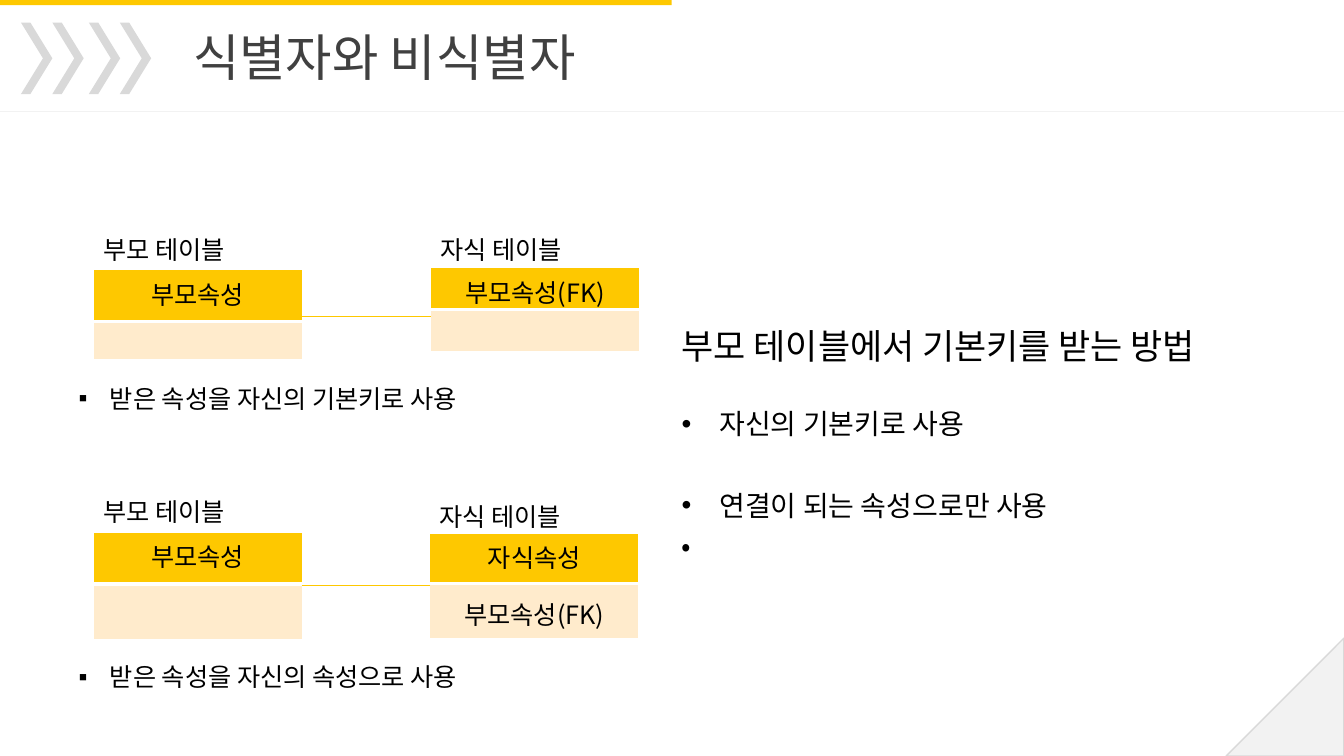
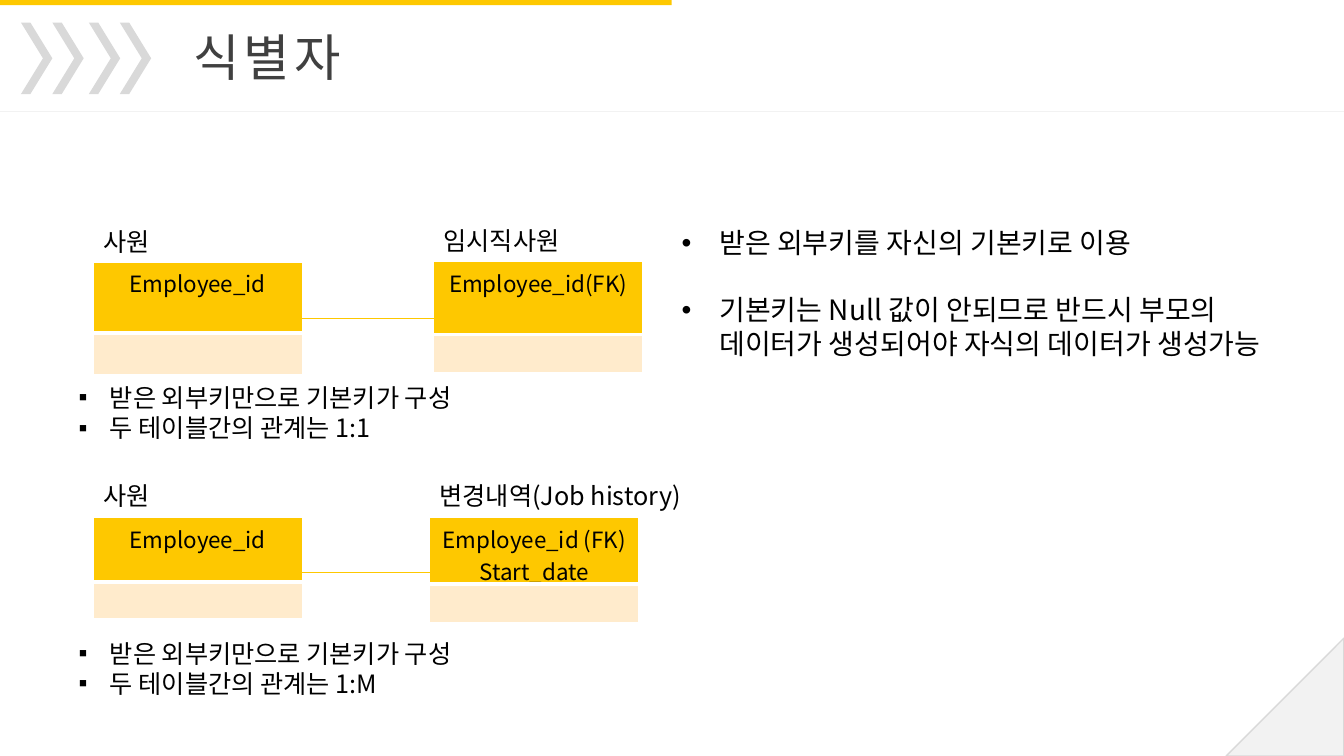
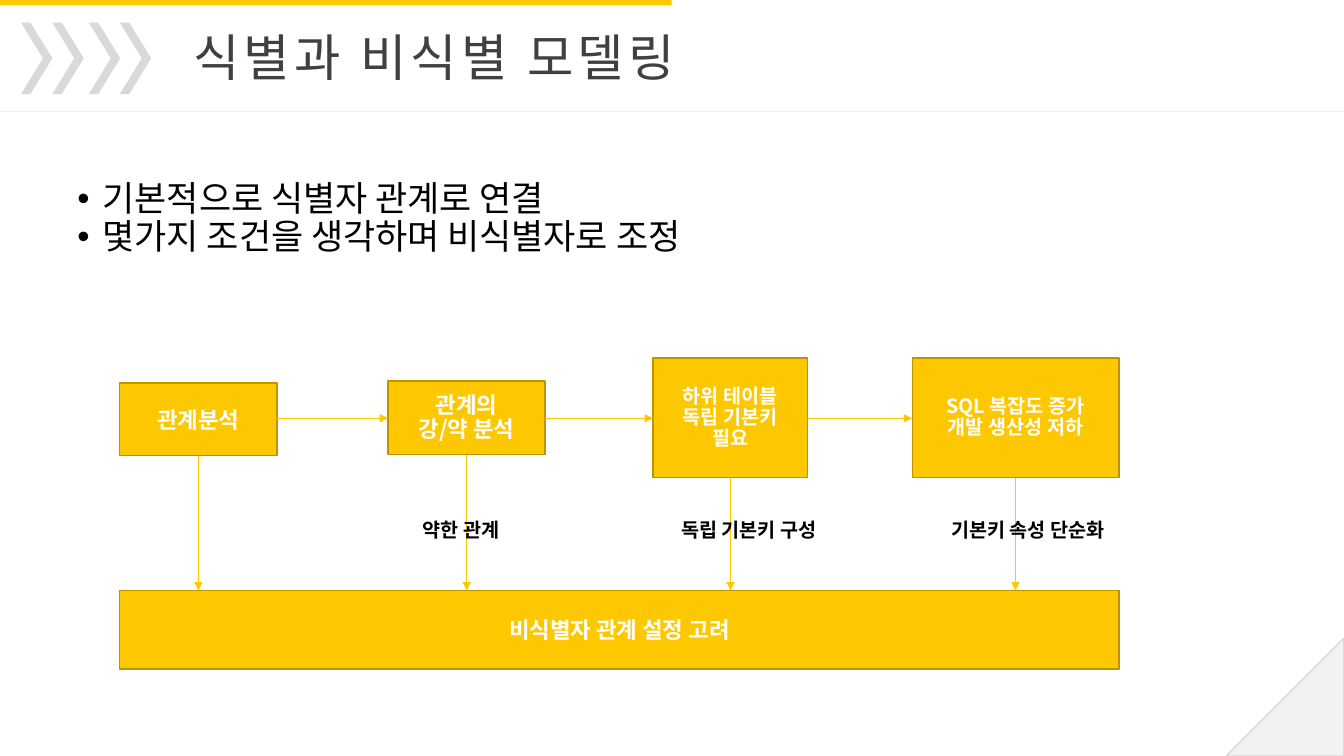
from dataclasses import dataclass

from lxml import etree
from pptx import Presentation
from pptx.dml.color import RGBColor
from pptx.enum import shapes, text
from pptx.oxml import ns
from pptx.util import Cm, Pt


@dataclass(frozen=True)
class Theme:
    font: str = "Noto Sans CJK KR"
    yellow: str = "FEC800"
    cream: str = "FFEBCC"
    edge: str = "BC9400"
    chevron: str = "D9D9D9"
    pale: str = "F2F2F2"
    title: str = "404040"
    black: str = "000000"
    white: str = "FFFFFF"
    title_size: int = 36
    lead_size: int = 25
    point_size: int = 20
    body_size: int = 18
    key_size: int = 16
    small_size: int = 14


T = Theme()
TABLE_W = 5.27
PARENT_X, LINK_X = 2.35, 7.6
NOTE_X, NOTE_W = 1.73, 13.92
POINT_X = 16.93

# Content: lengths in cm; an entity is label, label y, label width, x, y, rows
IDENTIFIER_OR_NOT = dict(
    title="식별자와 비식별자", title_w=18.2, spacing=0, key_size=T.body_size,
    relations=[
        dict(parent=("부모 테이블", 5.77, 4.24, PARENT_X, 6.8, [("부모속성", 1.3), ("", 0.95)]),
             child=("자식 테이블", 5.77, 4.24, 10.85, 6.75, [("부모속성(FK)", 1.05), ("", 1.05)]),
             link_y=7.96, notes_y=9.53, notes=["받은 속성을 자신의 기본키로 사용"]),
        dict(parent=("부모 테이블", 12.37, 4.24, PARENT_X, 13.41, [("부모속성", 1.3), ("", 1.4)]),
             child=("자식 테이블", 12.5, 4.24, 10.83, 13.44, [("자식속성", 1.26), ("부모속성(FK)", 1.4)]),
             link_y=14.76, notes_y=16.54, notes=["받은 속성을 자신의 속성으로 사용"]),
    ],
    points_at=(POINT_X, 8.05, 15.21, 7.34),
    points=[
        dict(words="부모 테이블에서 기본키를 받는 방법", size=T.lead_size),
        dict(words="자신의 기본키로 사용", size=T.point_size, bullet="•", indent=0.95, before=29),
        dict(words="연결이 되는 속성으로만 사용", size=T.point_size, bullet="•", indent=0.95, before=34),
        dict(words="•", size=T.point_size, before=5),
    ])

IDENTIFIER = dict(
    title="식별자", title_w=4.7, spacing=3, key_size=T.key_size,
    relations=[
        dict(parent=("사원", 5.58, 4.24, PARENT_X, 6.6, [("Employee_id", 1.8), ("", 1.03)]),
             child=("임시직사원", 5.56, 4.24, 10.93, 6.58, [("Employee_id(FK)", 1.85), ("", 0.96)]),
             link_y=8.03, notes_y=9.5,
             notes=["받은 외부키만으로 기본키가 구성", "두 테이블간의 관계는 1:1"]),
        dict(parent=("사원", 11.99, 4.24, PARENT_X, 13.03, [("Employee_id", 1.63), ("", 0.94)]),
             child=("변경내역(Job history)", 11.99, 6.93, 10.83, 13.03,
                    [("Employee_id (FK)\nStart_date", 1.68), ("", 0.98)]),
             link_y=14.43, notes_y=15.95,
             notes=["받은 외부키만으로 기본키가 구성", "두 테이블간의 관계는 1:M"]),
    ],
    points_at=(POINT_X, 5.56, 15.57, 4.52),
    points=[
        dict(words="받은 외부키를 자신의 기본키로 이용", size=T.point_size, bullet="•", indent=0.95),
        dict(words="기본키는 Null 값이 안되므로 반드시 부모의 데이터가 생성되어야 자식의 데이터가 생성가능",
             size=T.point_size, bullet="•", indent=0.95, before=24),
    ])

MODELLING = dict(
    title="식별과 비식별 모델링", title_w=26.2, spacing=3,
    points_at=(1.7, 4.45, 30.48, 12.57),
    points=[dict(words=words, size=T.lead_size, bullet="•", indent=0.64, line=0.9)
            for words in ("기본적으로 식별자 관계로 연결", "몇가지 조건을 생각하며 비식별자로 조정")])

# Steps: lines, size, box; the outcome lies under all of them
STEPS = [
    (["관계분석"], T.key_size, (3.02, 9.65, 3.96, 1.83)),
    (["관계의", "강/약 분석"], T.key_size, (9.78, 9.6, 3.96, 1.86)),
    (["하위 테이블", "독립 기본키 필요"], T.small_size, (16.46, 9.02, 3.89, 3.02)),
    (["SQL 복잡도 증가", "개발 생산성 저하"], T.small_size, (22.99, 9.02, 5.21, 3.02)),
]
OUTCOME = (["비식별자 관계 설정 고려"], T.key_size, (3.02, 14.88, 25.18, 1.98))
REASONS = [("약한 관계", 10.41, 2.72), ("독립 기본키 구성", 16.92, 4.4),
           ("기본키 속성 단순화", 23.72, 5.1)]
REASON_Y, FLOW_Y = 12.93, 10.54


# Drawing helpers
def cm(*lengths):
    return [Cm(round(length, 2)) for length in lengths]


def rgb(value):
    return RGBColor.from_string(value)


def add_tag(parent, tag, **values):
    child = etree.SubElement(parent, ns.qn(tag))
    for key, value in values.items():
        child.set(key, str(value))
    return child


def write(frame, paragraphs, align=text.PP_ALIGN.LEFT):
    """Each paragraph is a dict: words, size and optional format values."""
    for i, item in enumerate(paragraphs):
        para = frame.paragraphs[0] if i == 0 else frame.add_paragraph()
        settings = dict(alignment=align, line_spacing=item.get("line"))
        if i and "before" in item:
            settings["space_before"] = Pt(item["before"])
        for key, value in settings.items():
            setattr(para, key, value)
        if "bullet" in item:
            props = para._p.get_or_add_pPr()
            indent = Cm(item["indent"])
            props.set("marL", str(indent))
            props.set("indent", str(-indent))
            add_tag(props, "a:buFont", typeface="Arial")
            add_tag(props, "a:buChar", char=item["bullet"])
        run = para.add_run()
        run.text = item["words"]
        for key, value in dict(name=T.font, size=Pt(item["size"]), bold=item.get("bold", False)).items():
            setattr(run.font, key, value)
        run.font.color.rgb = rgb(item.get("color", T.black))
        props = run._r.get_or_add_rPr()
        add_tag(props, "a:ea", typeface=T.font)
        if item.get("spacing"):
            props.set("spc", str(item["spacing"] * 100))


def add_words(slide, box, paragraphs):
    frame = slide.shapes.add_textbox(*cm(*box)).text_frame
    frame.word_wrap = True
    write(frame, paragraphs)


def add_block(slide, kind, box, fill, line=None):
    block = slide.shapes.add_shape(kind, *cm(*box))
    block.shadow.inherit = False
    block.fill.solid()
    block.fill.fore_color.rgb = rgb(fill)
    if line:
        block.line.color.rgb = rgb(line)
        block.line.width = Pt(1)
    else:
        block.line.fill.background()
    return block


def add_line(slide, start, end, color=T.yellow, arrow=False):
    line = slide.shapes.add_connector(shapes.MSO_CONNECTOR.STRAIGHT, *cm(*start, *end))
    line.line.color.rgb = rgb(color)
    line.line.width = Pt(0.5)
    if arrow:
        add_tag(line.line._get_or_add_ln(), "a:tailEnd", type="triangle")
    add_tag(line._element.spPr, "a:effectLst")


def set_borders(cell, bottom):
    props = cell._tc.get_or_add_tcPr()
    sides = [("L", 1), ("R", 1), ("T", 1), ("B", bottom)]
    for i, (side, width) in enumerate(sides):
        line = etree.Element(ns.qn("a:ln" + side), w=str(Pt(width)))
        add_tag(add_tag(line, "a:solidFill"), "a:srgbClr", val=T.white)
        props.insert(i, line)


def add_entity(slide, entity, size):
    label, label_y, label_w, x, y, rows = entity
    add_words(slide, (x, label_y, label_w, 1.02), [dict(words=label, size=T.body_size)])
    height = sum(h for _, h in rows)
    table = slide.shapes.add_table(len(rows), 1, *cm(x, y, TABLE_W, height)).table
    for i, (words, row_h) in enumerate(rows):
        table.rows[i].height = Cm(row_h)
        cell = table.cell(i, 0)
        cell.fill.solid()
        cell.fill.fore_color.rgb = rgb(T.cream if i else T.yellow)
        set_borders(cell, bottom=1 if i else 3)
        cell.margin_bottom = 0
        if words:
            lines = [dict(words=line, size=size) for line in words.split("\n")]
            write(cell.text_frame, lines, text.PP_ALIGN.CENTER)
        else:
            cell.margin_top = 0
        if i:
            cell.vertical_anchor = text.MSO_ANCHOR.MIDDLE


def add_step(slide, step):
    lines, size, box = step
    block = add_block(slide, shapes.MSO_SHAPE.RECTANGLE, box, T.yellow, T.edge)
    block.text_frame.word_wrap = True
    block.text_frame.vertical_anchor = text.MSO_ANCHOR.MIDDLE
    spacing = 0.9 if len(lines) > 1 else None
    write(block.text_frame,
          [dict(words=line, size=size, color=T.white, bold=True, line=spacing) for line in lines],
          text.PP_ALIGN.CENTER)


# Slides
def start_slide(deck, content):
    """Corner, top band, chevrons, title and the points of the slide."""
    slide = deck.slides.add_slide(deck.slide_layouts[6])
    corner = add_block(slide, shapes.MSO_SHAPE.RIGHT_TRIANGLE, (30.9, 16.08, 2.97, 2.97), T.pale, T.chevron)
    corner._element.spPr.xfrm.set("flipH", "1")
    add_block(slide, shapes.MSO_SHAPE.RECTANGLE, (0, 0, 16.93, 0.13), T.yellow)
    add_line(slide, (0, 2.8), (33.87, 2.8), T.pale)
    for x in (0.53, 1.32, 2.24, 3.02):
        add_block(slide, shapes.MSO_SHAPE.CHEVRON, (x, 0.57, 0.79, 1.8), T.chevron).adjustments[0] = 0.7
    add_words(slide, (4.62, 0.54, content["title_w"], 1.8),
              [dict(words=content["title"], size=T.title_size, color=T.title, spacing=content["spacing"])])
    add_words(slide, content["points_at"], content["points"])
    return slide


def add_relation_slide(deck, content):
    slide = start_slide(deck, content)
    for relation in content["relations"]:
        for role in ("parent", "child"):
            add_entity(slide, relation[role], content["key_size"])
        y = relation["link_y"]
        add_line(slide, (LINK_X, y), (relation["child"][3], y))
        notes = [dict(words=note, size=T.body_size, bullet="▪", indent=0.79) for note in relation["notes"]]
        add_words(slide, (NOTE_X, relation["notes_y"], NOTE_W, 0.25 + 0.77 * len(notes)), notes)


def add_flow_slide(deck):
    slide = start_slide(deck, MODELLING)
    for step in STEPS + [OUTCOME]:
        add_step(slide, step)
    boxes = [box for _, _, box in STEPS]
    for (x, _, w, _), (next_x, *_) in zip(boxes, boxes[1:]):
        add_line(slide, (x + w, FLOW_Y), (next_x, FLOW_Y), arrow=True)
    for x, y, w, h in boxes:
        add_line(slide, (x + w / 2, y + h), (x + w / 2, OUTCOME[2][1]), arrow=True)
    for words, x, w in REASONS:
        add_words(slide, (x, REASON_Y, w, 0.86), [dict(words=words, size=T.small_size, bold=True)])


def main():
    deck = Presentation()
    deck.slide_width, deck.slide_height = cm(33.87, 19.05)
    for content in (IDENTIFIER_OR_NOT, IDENTIFIER):
        add_relation_slide(deck, content)
    add_flow_slide(deck)
    deck.save("out.pptx")


if __name__ == "__main__":
    main()
